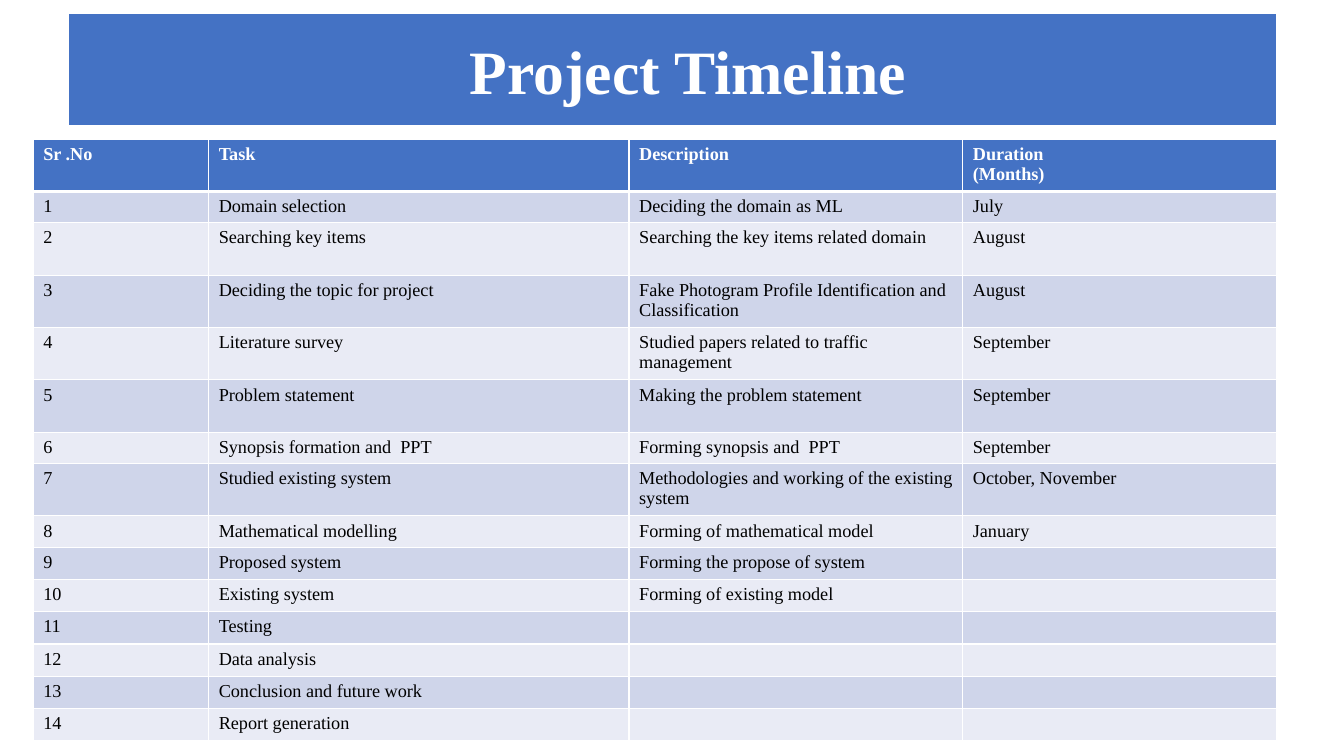
from lxml.etree import SubElement
from pptx import Presentation
from pptx.dml.color import RGBColor
from pptx.enum.text import MSO_ANCHOR, MSO_AUTO_SIZE, PP_ALIGN
from pptx.oxml.ns import qn
from pptx.util import Inches, Pt

FONT = "Times New Roman"
COLORS = {
    "blue": "4472C4",
    "white": "FFFFFF",
    "black": "000000",
    "odd": "CFD5EA",
    "even": "E9EBF5",
}
BODY_SIZE = 13
COLUMN_WIDTHS = [1.74, 4.17, 3.31, 3.11]
SHORT_ROW, TALL_ROW = 0.31, 0.52
TALL_ROWS = {0, 2, 3, 4, 5, 7}

HEADINGS = ["Sr .No", "Task", "Description", "Duration\n(Months)"]
TASKS = [
    ("Domain selection", "Deciding the domain as ML", "July"),
    ("Searching key items", "Searching the key items related domain", "August"),
    ("Deciding the topic for project",
     "Fake Photogram Profile Identification and Classification", "August"),
    ("Literature survey", "Studied papers related to traffic management", "September"),
    ("Problem statement", "Making the problem statement", "September"),
    ("Synopsis formation and  PPT", "Forming synopsis and  PPT", "September"),
    ("Studied existing system",
     "Methodologies and working of the existing system", "October, November"),
    ("Mathematical modelling", "Forming of mathematical model", "January"),
    ("Proposed system", "Forming the propose of system", ""),
    ("Existing system", "Forming of existing model", ""),
    ("Testing", "", ""),
    ("Data analysis", "", ""),
    ("Conclusion and future work", "", ""),
    ("Report generation", "", ""),
]


def color(name):
    return RGBColor.from_string(COLORS[name])


def add_run(paragraph, text, size, color_name, bold):
    run = paragraph.add_run()
    run.text = text
    run.font.name = FONT
    run.font.size = Pt(size)
    run.font.bold = bold
    run.font.color.rgb = color(color_name)


def add_title(slide, text):
    title = slide.shapes.title
    title.left, title.top = Inches(0.67), Inches(0.13)
    title.width, title.height = Inches(12), Inches(1.12)
    title.fill.solid()
    title.fill.fore_color.rgb = color("blue")
    title.line.color.rgb = color("white")
    title.line.width = Pt(1.5)

    frame = title.text_frame
    frame.auto_size = MSO_AUTO_SIZE.NONE
    frame.word_wrap = True
    frame.vertical_anchor = MSO_ANCHOR.MIDDLE
    # The wider left inset sets the heading slightly right of centre
    frame.margin_left, frame.margin_right = Inches(0.42), Inches(0.11)
    frame.margin_top = frame.margin_bottom = Inches(0.06)
    heading = frame.paragraphs[0]
    heading.alignment = PP_ALIGN.CENTER
    add_run(heading, text, 44, "white", True)


def set_borders(cell, top, bottom):
    properties = cell._tc.get_or_add_tcPr()
    for side, width in (("L", 1), ("R", 1), ("T", top), ("B", bottom)):
        border = SubElement(properties, qn(f"a:ln{side}"), w=str(Pt(width)))
        fill = SubElement(border, qn("a:solidFill"))
        SubElement(fill, qn("a:srgbClr"), val=COLORS["white"])


def fill_cell(cell, text, row):
    is_header = row == 0
    set_borders(cell, top=3 if row == 1 else 1, bottom=3 if is_header else 1)
    cell.fill.solid()
    band = "odd" if row % 2 else "even"
    cell.fill.fore_color.rgb = color("blue" if is_header else band)

    frame = cell.text_frame
    for index, line in enumerate(text.split("\n")):
        paragraph = frame.add_paragraph() if index else frame.paragraphs[0]
        if line:
            add_run(paragraph, line, BODY_SIZE,
                    "white" if is_header else "black", is_header)
        else:
            # Empty cells need the body size too, or their rows grow
            SubElement(paragraph._p, qn("a:endParaRPr"), sz=str(BODY_SIZE * 100))


def add_timeline(slide):
    rows = [HEADINGS] + [(str(number), *task) for number, task in enumerate(TASKS, 1)]
    heights = [TALL_ROW if row in TALL_ROWS else SHORT_ROW for row in range(len(rows))]
    timeline = slide.shapes.add_table(
        len(rows), len(HEADINGS), Inches(0.33), Inches(1.38),
        Inches(sum(COLUMN_WIDTHS)), Inches(sum(heights))).table

    for column, width in zip(timeline.columns, COLUMN_WIDTHS):
        column.width = Inches(width)
    for row, (height, texts) in enumerate(zip(heights, rows)):
        timeline.rows[row].height = Inches(height)
        for column, text in enumerate(texts):
            fill_cell(timeline.cell(row, column), text, row)


def main():
    presentation = Presentation()
    presentation.slide_width = Inches(13.33)
    presentation.slide_height = Inches(7.5)
    slide = presentation.slides.add_slide(presentation.slide_layouts[5])

    # Title banner
    add_title(slide, "Project Timeline")
    # Task table
    add_timeline(slide)

    presentation.save("out.pptx")


if __name__ == "__main__":
    main()
